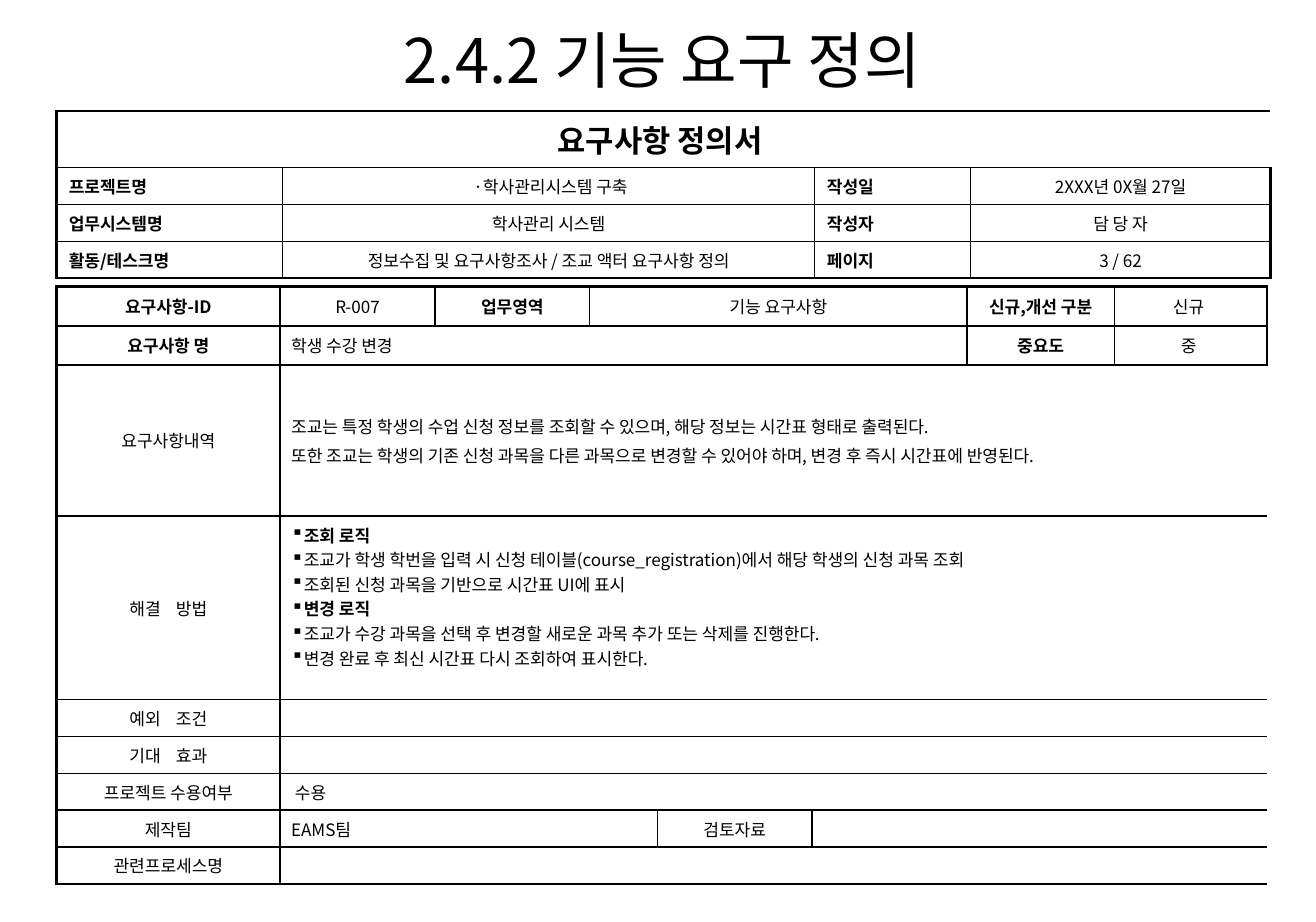
from dataclasses import dataclass

from lxml import etree
from pptx import Presentation
from pptx import util as u
from pptx.dml.color import RGBColor
from pptx.enum import text
from pptx.oxml import ns

TITLE = "2.4.2 기능 요구 정의"

# Each cell is (text, style, columns covered); a list of lines makes paragraphs
HEADER = dict(
    top=0.9, inset=0.1,
    widths=[1.84, 4.33, 1.27, 2.44],
    heights=[0.43, 0.26, 0.26, 0.26],
    thick_rows=[],
    rows=[
        [("요구사항 정의서 ", "heading", 4)],
        [("프로젝트명", "field", 1), (" ·학사관리시스템 구축", "center", 1),
         ("작성일", "field", 1), ("2XXX년 0X월 27일", "center", 1)],
        [("업무시스템명 ", "field", 1), ("학사관리 시스템", "center", 1),
         ("작성자", "field", 1), ("담 당 자", "center", 1)],
        [("활동/테스크명", "field", 1),
         ("정보수집 및 요구사항조사 / 조교 액터 요구사항 정의", "center", 1),
         ("페이지", "field", 1), ("3 / 62", "center", 1)],
    ],
)
DETAIL = dict(
    top=2.33, inset=0.09,
    widths=[1.82, 1.26, 1.26, 0.55, 1.26, 1.26, 1.2, 1.24],
    heights=[0.32, 0.32, 1.23, 1.49] + [0.25] * 5,
    thick_rows=[0, 1],
    rows=[
        [("요구사항-ID", "label", 1), ("R-007", "center", 1), ("업무영역", "label", 1),
         ("기능 요구사항", "center", 3), ("신규,개선 구분", "label", 1),
         ("신규 ", "center", 1)],
        [("요구사항 명", "label", 1), ("학생 수강 변경", "left", 5),
         ("중요도", "label", 1), ("중 ", "center", 1)],
        [("요구사항내역", "center", 1),
         (["조교는 특정 학생의 수업 신청 정보를 조회할 수 있으며, 해당 정보는 시간표 형태로 출력된다.",
           "또한 조교는 학생의 기존 신청 과목을 다른 과목으로 변경할 수 있어야 하며, "
           "변경 후 즉시 시간표에 반영된다."], "left", 7)],
        [("해결    방법", "center", 1),
         (["조회 로직",
           "조교가 학생 학번을 입력 시 신청 테이블(course_registration)에서 해당 학생의 신청 과목 조회",
           "조회된 신청 과목을 기반으로 시간표 UI에 표시",
           "변경 로직",
           "조교가 수강 과목을 선택 후 변경할 새로운 과목 추가 또는 삭제를 진행한다.",
           "변경 완료 후 최신 시간표 다시 조회하여 표시한다."], "bullets", 7)],
        [("예외    조건", "center", 1), ("", "left", 7)],
        [("기대    효과", "center", 1), ("", "left", 7)],
        [("프로젝트 수용여부", "center", 1), (" 수용", "left", 7)],
        [("제작팀", "center", 1), ("EAMS팀", "left", 3),
         ("검토자료", "center", 1), ("", "left", 3)],
        [("관련프로세스명", "center", 1), ("", "left", 7)],
    ],
)
BOLD_LINES = {"조회 로직", "변경 로직"}


@dataclass(frozen=True)
class Theme:
    font: str = "Noto Sans CJK KR"
    ink: str = "000000"
    title: int = 36
    heading: int = 18
    body: int = 10
    thin: float = 1
    thick: float = 1.5


THEME = Theme()
ALIGN = text.PP_ALIGN
# style: (alignment, bold, size)
STYLES = {
    "heading": (ALIGN.CENTER, True, THEME.heading),
    "field": (ALIGN.JUSTIFY, True, THEME.body),
    "label": (ALIGN.CENTER, True, THEME.body),
    "center": (ALIGN.CENTER, False, THEME.body),
    "left": (ALIGN.LEFT, False, THEME.body),
    "bullets": (ALIGN.LEFT, False, THEME.body),
}


def style_span(span, size, bold=False):
    span.font.name = THEME.font
    span.font.size = u.Pt(size)
    span.font.bold = bold
    span.font.color.rgb = RGBColor.from_string(THEME.ink)
    east_asian = etree.SubElement(span.font._element, ns.qn("a:ea"))
    east_asian.set("typeface", THEME.font)


def write_cell(cell, content, style):
    align, bold, size = STYLES[style]
    cell.text_frame.text = content if isinstance(content, str) else "\n".join(content)
    for number, para in enumerate(cell.text_frame.paragraphs):
        para.alignment = align
        if style == "bullets":
            bullet = etree.SubElement(para._p.get_or_add_pPr(), ns.qn("a:buChar"))
            bullet.set("char", "▪")
        elif number:
            para.space_before = u.Pt(size * 0.2)
        for span in para.runs:
            style_span(span, size, bold or span.text in BOLD_LINES)
        if not para.runs:
            end = etree.SubElement(para._p, ns.qn("a:endParaRPr"))
            end.set("sz", str(size * 100))


def set_borders(cell, widths):
    """Widths run left, right, top, bottom; zero hides the side."""
    properties = cell._tc.get_or_add_tcPr()
    for position, (side, width) in enumerate(zip("LRTB", widths)):
        line = etree.Element(ns.qn(f"a:ln{side}"), w=str(u.Pt(width)))
        if width:
            fill = etree.SubElement(line, ns.qn("a:solidFill"))
            etree.SubElement(fill, ns.qn("a:srgbClr"), val=THEME.ink)
        else:
            etree.SubElement(line, ns.qn("a:noFill"))
        properties.insert(position, line)


def add_form(page, form):
    rows, widths, heights = form["rows"], form["widths"], form["heights"]
    frame = page.shapes.add_table(
        len(rows), len(widths), u.Inches(0.46), u.Inches(form["top"]),
        u.Inches(sum(widths)), u.Inches(sum(heights)))
    table = frame.table
    table.first_row = table.horz_banding = False
    for column, width in zip(table.columns, widths):
        column.width = u.Inches(width)
    for row, height in zip(table.rows, heights):
        row.height = u.Inches(height)

    def rule(is_thick):
        return THEME.thick if is_thick else THEME.thin

    for r, row in enumerate(rows):
        top = rule(r == 0 or r - 1 in form["thick_rows"])
        bottom = rule(r == len(rows) - 1 or r in form["thick_rows"])
        first = 0
        for content, style, covered in row:
            last = first + covered - 1
            for c in range(first, last + 1):
                cell = table.cell(r, c)
                write_cell(cell, content if c == first else "", style)
                cell.vertical_anchor = text.MSO_ANCHOR.MIDDLE
                cell.margin_left = cell.margin_right = u.Inches(form["inset"])
                cell.margin_top = u.Inches(0.05)
                cell.margin_bottom = u.Inches(0.24 if style == "bullets" else 0.05)
                cell.fill.background()
                left = rule(c == 0) if c == first else 0
                right = rule(c == len(widths) - 1) if c == last else 0
                set_borders(cell, (left, right, top, bottom))
            if covered > 1:
                table.cell(r, first).merge(table.cell(r, last))
            first = last + 1


def add_title(page):
    box = page.shapes.add_textbox(
        u.Inches(1.83), u.Inches(0.07), u.Inches(7.12), u.Inches(1.44))
    box.text_frame.word_wrap = True
    box.text_frame.text = TITLE
    para = box.text_frame.paragraphs[0]
    para.alignment = ALIGN.CENTER
    para.line_spacing = 1.1
    style_span(para.runs[0], THEME.title)


def main():
    deck = Presentation()
    deck.slide_width, deck.slide_height = u.Inches(10.71), u.Inches(7.5)
    page = deck.slides.add_slide(deck.slide_layouts[6])
    for form in (HEADER, DETAIL):
        add_form(page, form)
    add_title(page)
    deck.save("out.pptx")


if __name__ == "__main__":
    main()
